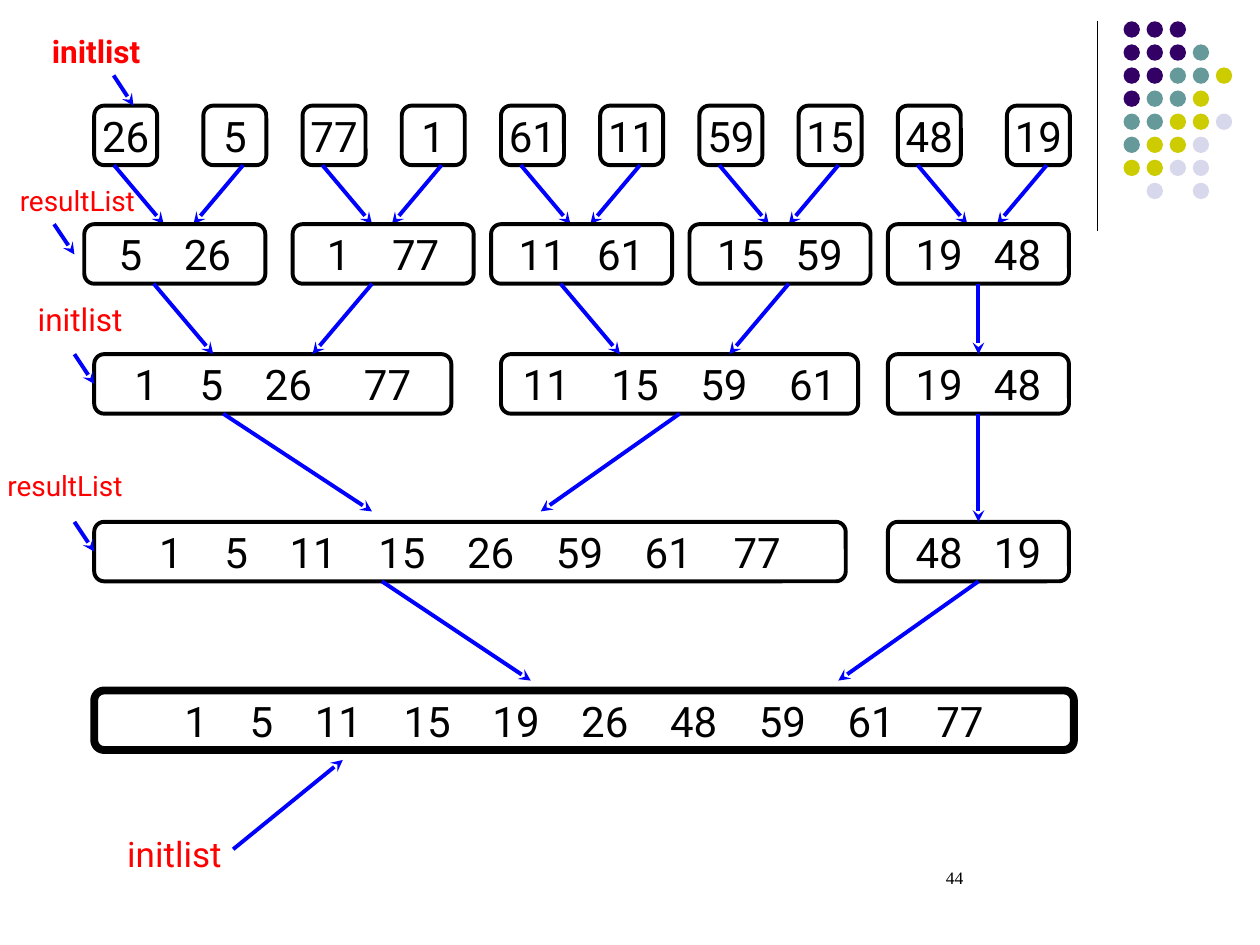
from lxml import etree
from pptx import Presentation
from pptx.dml.color import RGBColor
from pptx.enum.shapes import MSO_CONNECTOR, MSO_SHAPE
from pptx.enum.text import MSO_ANCHOR, PP_ALIGN
from pptx.oxml.ns import qn
from pptx.util import Cm, Pt

STRAIGHT = MSO_CONNECTOR.STRAIGHT
OVAL = MSO_SHAPE.OVAL
ROUNDED = MSO_SHAPE.ROUNDED_RECTANGLE
MIDDLE = MSO_ANCHOR.MIDDLE
LEFT, CENTER, RIGHT = PP_ALIGN.LEFT, PP_ALIGN.CENTER, PP_ALIGN.RIGHT
TOP_SIDE, LEFT_SIDE, BOTTOM_SIDE = 0, 1, 2

BLACK, BLUE, RED = "000000", "0000FF", "FF0000"
DOT_COLORS = {"P": "330066", "T": "669999", "Y": "CCCC00", "L": "D8D8EC"}
DOT_ROWS = ["PPP", "PPPT", "PPTTY", "PTTY", "TTYYL", "TYYL", "YYLL", "-L-L"]
DOT_PITCH = 0.465

ROW_TOPS = [2.13, 4.52, 7.14, 10.52, 13.92]
BOX_HEIGHT = 1.2
ROW_BOTTOMS = [top + BOX_HEIGHT for top in ROW_TOPS]
LEAF_WIDTH, PAIR_WIDTH = 1.27, 3.65
DIGIT_WIDTH, SPACE_WIDTH, CORNER_INSET = 0.475, 0.21, 0.06

LEAVES = [(1.9, "26"), (4.1, "5"), (6.1, "77"), (8.1, "1"), (10.1, "61"),
          (12.1, "11"), (14.1, "59"), (16.1, "15"), (18.1, "48"), (20.3, "19")]
PAIRS = [(1.7, "5 26", 4), (5.9, "1 77", 4), (9.9, "11 61", 3), (13.9, "15 59", 3)]
LAST_PAIR_LEFT = 17.9

MERGE_ARROWS = [
    (3.1, ROW_BOTTOMS[1], 4.3, ROW_TOPS[2]),
    (7.5, ROW_BOTTOMS[1], 6.3, ROW_TOPS[2]),
    (11.3, ROW_BOTTOMS[1], 12.5, ROW_TOPS[2]),
    (15.9, ROW_BOTTOMS[1], 14.7, ROW_TOPS[2]),
    (4.5, ROW_BOTTOMS[2], 7.5, 10.31),
    (13.7, ROW_BOTTOMS[2], 10.9, 10.31),
    (7.7, ROW_BOTTOMS[3], 10.7, 13.72),
]
POINTERS = [(2.29, 1.52, 2.69, 2.13), (1.09, 4.52, 1.5, 5.13), (4.7, 17.12, 6.91, 15.32)]
LABELS = [
    ("initlist", 0.51, 0.53, 2.57, 18, True),
    ("resultList", 0.05, 3.58, 2.92, 16, False),
    ("initlist", 0.41, 5.92, 2.31, 18, False),
    ("resultList", -0.2, 9.32, 2.92, 16, False),
    ("initlist", 2.21, 16.66, 2.51, 20, False),
]


def color(hex_text):
    return RGBColor.from_string(hex_text)


def write(shape, text, size=24, font="Roboto", fill=BLACK, bold=False, align=LEFT):
    frame = shape.text_frame
    frame.word_wrap = True
    para = frame.paragraphs[0]
    para.alignment = align
    span = para.add_run()
    span.text = text
    span.font.size = Pt(size)
    span.font.name = font
    span.font.bold = bold
    span.font.color.rgb = color(fill)


def add_label(page, text, left, top, width, **style):
    box = page.shapes.add_textbox(Cm(left), Cm(top), Cm(width), Cm(1))
    write(box, text, **style)


def add_box(page, left, top, width, line_width=2.25):
    box = page.shapes.add_shape(ROUNDED, Cm(left), Cm(top), Cm(width), Cm(BOX_HEIGHT))
    box.shadow.inherit = False
    box.fill.background()
    box.line.color.rgb = color(BLACK)
    box.line.width = Pt(line_width)
    frame = box.text_frame
    frame.vertical_anchor = MIDDLE
    frame.margin_left = frame.margin_right = 0
    return box


def add_tabs(para, positions):
    tabs = etree.SubElement(para._p.get_or_add_pPr(), qn("a:tabLst"))
    for position in positions:
        etree.SubElement(tabs, qn("a:tab"), pos=str(Cm(position)), algn="l")


def add_list(page, left, top, width, numbers, gap=4, last_gap=None, line_width=2.25):
    box = add_box(page, left, top, width, line_width)
    values = numbers.split()
    gaps = [gap] * (len(values) - 2) + [last_gap or gap]
    starts = [0]
    for value, spaces in zip(values, gaps):
        starts.append(starts[-1] + len(value) * DIGIT_WIDTH + spaces * SPACE_WIDTH)
    total = starts[-1] + len(values[-1]) * DIGIT_WIDTH
    box.text_frame.margin_left = Cm((width - total) / 2 - CORNER_INSET)
    add_tabs(box.text_frame.paragraphs[0], starts[1:])
    write(box, "\t".join(values))
    return box


def add_line(page, x1, y1, x2, y2, stroke=BLUE, width=2.25):
    line = page.shapes.add_connector(STRAIGHT, Cm(x1), Cm(y1), Cm(x2), Cm(y2))
    line.line.color.rgb = color(stroke)
    line.line.width = Pt(width)
    etree.SubElement(line._element.spPr, qn("a:effectLst"))
    return line


def add_arrow(page, x1, y1, x2, y2):
    arrow = add_line(page, x1, y1, x2, y2)
    etree.SubElement(arrow.line._get_or_add_ln(), qn("a:tailEnd"), type="stealth")
    return arrow


def add_dots(page):
    for row, letters in enumerate(DOT_ROWS):
        for column, letter in enumerate(letters):
            if letter in DOT_COLORS:
                dot = page.shapes.add_shape(
                    OVAL, Cm(22.65 + column * DOT_PITCH), Cm(0.43 + row * DOT_PITCH),
                    Cm(0.33), Cm(0.33))
                dot.shadow.inherit = False
                dot.fill.solid()
                dot.fill.fore_color.rgb = color(DOT_COLORS[letter])
                dot.line.fill.background()


def add_leaves(page):
    for index, (left, number) in enumerate(LEAVES):
        leaf = add_box(page, left, ROW_TOPS[0], LEAF_WIDTH)
        write(leaf, number, align=CENTER)
        start, shift = (left + 0.4, 1) if index % 2 == 0 else (left + 0.8, -1)
        add_arrow(page, start, ROW_BOTTOMS[0], start + shift, ROW_TOPS[1])


def add_merges(page):
    for left, numbers, gap in PAIRS:
        add_list(page, left, ROW_TOPS[1], PAIR_WIDTH, numbers, gap=gap)
    quads = add_list(page, 1.9, ROW_TOPS[2], 7.2, "1 5 26 77", last_gap=5)
    add_list(page, 10.1, ROW_TOPS[2], 7.2, "11 15 59 61")
    eights = add_list(page, 1.9, ROW_TOPS[3], 15.15, "1 5 11 15 26 59 61 77")
    add_list(page, 1.9, ROW_TOPS[4], 19.75, "1 5 11 15 19 26 48 59 61 77", line_width=4.5)
    for ends in MERGE_ARROWS + POINTERS:
        add_arrow(page, *ends)
    for target, top in [(quads, ROW_TOPS[2]), (eights, ROW_TOPS[3])]:
        pointer = add_arrow(page, 1.5, top, 1.9, top + BOX_HEIGHT / 2)
        pointer.end_connect(target, LEFT_SIDE)


def add_last_pairs(page):
    center = LAST_PAIR_LEFT + PAIR_WIDTH / 2
    pairs = [add_list(page, LAST_PAIR_LEFT, top, PAIR_WIDTH, numbers, gap=3)
             for top, numbers in zip(ROW_TOPS[1:4], ["19 48", "19 48", "48 19"])]
    for row, (upper, lower) in enumerate(zip(pairs, pairs[1:]), start=1):
        arrow = add_arrow(page, center, ROW_BOTTOMS[row], center, ROW_TOPS[row + 1])
        arrow.begin_connect(upper, BOTTOM_SIDE)
        arrow.end_connect(lower, TOP_SIDE)
    final = add_arrow(page, center, ROW_BOTTOMS[3], 16.9, 13.72)
    final.begin_connect(pairs[-1], BOTTOM_SIDE)


def main():
    deck = Presentation()
    deck.slide_width, deck.slide_height = Cm(25.4), Cm(19.05)
    page = deck.slides.add_slide(deck.slide_layouts[6])
    add_line(page, 22.12, 0.43, 22.12, 4.65, stroke=BLACK, width=0.75)
    add_dots(page)
    add_leaves(page)
    add_merges(page)
    add_last_pairs(page)
    for text, left, top, width, size, bold in LABELS:
        add_label(page, text, left, top, width, size=size, bold=bold, fill=RED, align=RIGHT)
    add_label(page, "44", 18.82, 17.35, 5.3, size=10, font="Times New Roman")
    deck.save("out.pptx")


if __name__ == "__main__":
    main()
